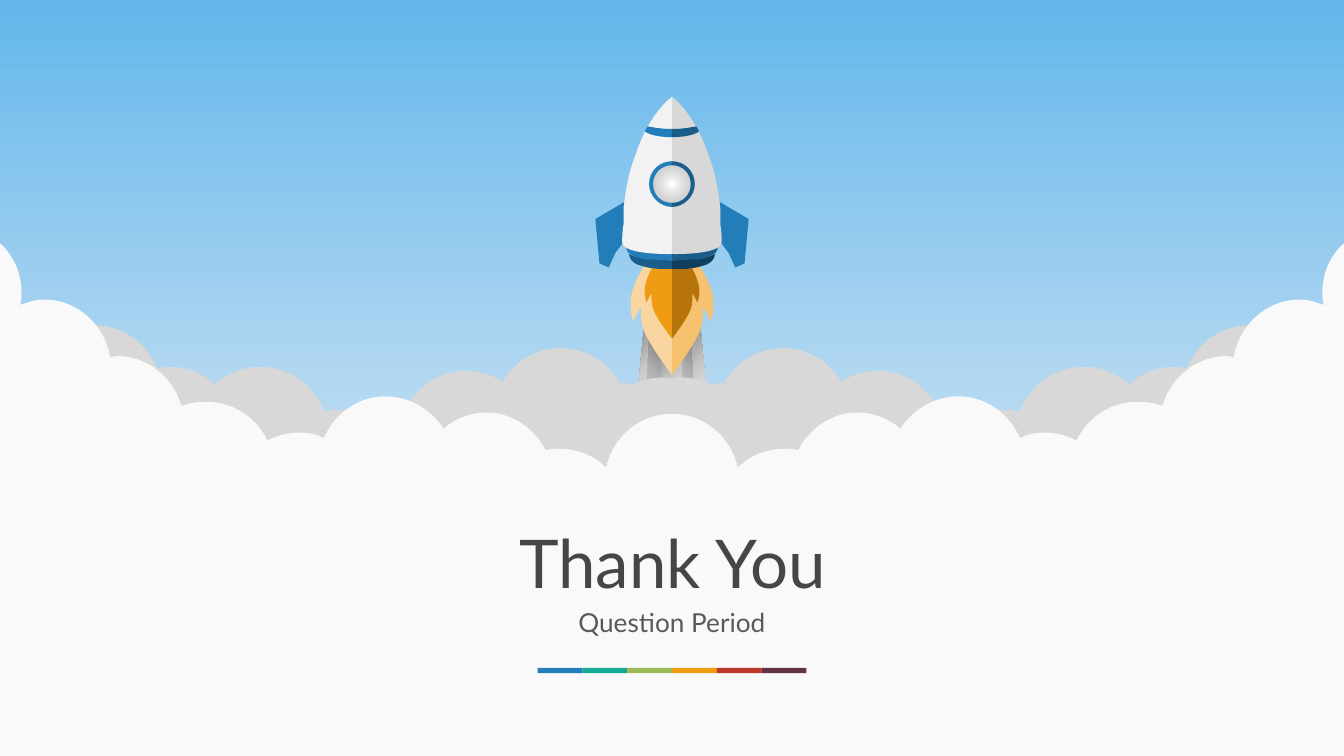
from collections import namedtuple
from dataclasses import dataclass

from lxml.etree import SubElement
from pptx import Presentation
from pptx.dml.color import RGBColor
from pptx.enum.shapes import MSO_SHAPE
from pptx.enum.text import MSO_ANCHOR, PP_ALIGN
from pptx.oxml.ns import qn
from pptx.util import Inches, Pt

Box = namedtuple("Box", "x y w h")


@dataclass(frozen=True)
class Theme:
    """Colours, font and type sizes of the slide."""
    font: str = "Lato"
    title_pt: int = 36
    subtitle_pt: int = 14
    title: str = "464646"
    subtitle: str = "595959"
    paper: str = "F9F9F9"
    cloud: str = "D8D8D8"
    sky: tuple = ("63B7EB", "B1D7F1", "FFFFFF")
    smoke_light: tuple = ("8C8C8C", "CACACA", "F2F2F2")
    smoke_dark: tuple = ("7C7C7C", "B4B4B4", "D8D8D8")
    glass: tuple = ("FFFFFF", "D8D8D8", "BFBFBF")
    fin: tuple = ("237DB9", "237DB9")
    trim: tuple = ("237DB9", "1A5D8A")
    base: tuple = ("1A5D8A", "113E5C")
    hull: tuple = ("F2F2F2", "D8D8D8")
    outer_flame: tuple = ("F9D69F", "F6C270")
    inner_flame: tuple = ("F09B14", "B7740B")
    bars: tuple = ("237DB9", "14AA96", "9BB955", "F09B14", "BE392B", "643246")


T = Theme()

FIN = [(57, 91), (35, 78), (36, 108), (36, 108, 39, 112, 42, 116),
       (44, 120, 47, 127, 47, 127), (54, 124)]
SKIRT = [(25, 120), (15, 123, 0, 122, 0, 122), (0, 117), (0, 117, 12, 116, 20, 115),
         (28, 114, 34, 112, 34, 112), (34, 112, 35, 117, 25, 120)]
OUTER_FLAME = [(29, 167), (23, 156), (23, 156, 24, 164, 21, 174), (16, 186, 0, 207, 0, 207),
               (0, 123), (19, 123), (19, 123, 26, 134, 29, 143), (33, 155, 29, 167, 29, 167)]
INNER_FLAME = [(19, 153), (15, 146), (15, 146, 16, 151, 14, 158), (11, 166, 0, 180, 0, 180),
               (0, 123), (12, 123), (12, 123, 17, 130, 19, 137), (22, 145, 19, 153, 19, 153)]
BASE = [(22, 126), (13, 129, 0, 128, 0, 128), (0, 122), (0, 122, 12, 121, 19, 121),
        (27, 120, 32, 117, 32, 117), (32, 117, 32, 124, 22, 126)]
HULL = [(36, 83), (36, 85, 36, 90, 36, 95), (37, 100, 37, 105, 37, 108),
        (37, 118, 0, 117, 0, 117), (0, 0), (0, 0, 17, 12, 27, 43), (33, 58, 35, 74, 36, 83)]
NOSE_BAND = [(0, 24), (0, 30), (8, 30, 15, 29, 20, 26), (20, 25, 19, 23, 18, 22),
             (13, 23, 7, 24, 0, 24)]
RING = [(0, 48), (0, 51), (8, 51, 14, 57, 14, 65), (14, 73, 8, 79, 0, 79), (0, 82),
        (9, 82, 17, 74, 17, 65), (17, 55, 9, 48, 0, 48)]
SMOKE = [
    ([(-27, 235), (-21, 173), (-16, 173), (-20, 235)], T.smoke_light, 45),
    ([(21, 169), (27, 235), (17, 235), (14, 172), (17, 169)], T.smoke_light, 45),
    ([(8, 235), (7, 179), (14, 179), (17, 235)], T.smoke_dark, (100, 0, 0, 100)),
    ([(7, 186), (8, 235), (-9, 235), (-8, 186)], T.smoke_light, 45),
    ([(-9, 235), (-8, 179), (-17, 179), (-20, 235)], T.smoke_dark, (100, 0, 0, 100)),
]
MIDDLE_CLOUD = [
    (0, 381), (7, 381), (11, 381, 14, 381, 18, 380),
    (24, 383, 32, 385, 40, 385), (59, 385, 75, 374, 84, 359), (93, 359, 102, 356, 110, 351),
    (118, 366, 134, 376, 153, 376), (180, 376, 203, 354, 203, 326),
    (203, 298, 180, 276, 153, 276), (143, 276, 134, 279, 126, 284),
    (117, 269, 101, 259, 83, 259), (64, 259, 47, 270, 39, 285), (35, 285, 32, 286, 29, 286),
    (23, 283, 15, 281, 7, 281), (5, 281, 2, 281, 0, 282)]
SIDE_CLOUD = [
    (249, 305), (253, 305, 256, 306, 259, 306), (266, 287, 285, 273, 307, 273),
    (319, 273, 331, 278, 340, 286), (349, 278, 360, 273, 373, 273),
    (377, 273, 380, 274, 383, 274), (391, 255, 409, 242, 430, 242),
    (458, 242, 480, 264, 480, 292), (480, 319, 458, 342, 430, 342),
    (427, 342, 423, 341, 420, 341), (413, 360, 395, 373, 373, 373),
    (360, 373, 348, 368, 340, 360), (331, 368, 319, 373, 307, 373),
    (303, 373, 300, 372, 296, 372), (290, 391, 271, 405, 249, 405),
    (222, 405, 199, 383, 199, 355), (199, 328, 222, 305, 249, 305)]
FRONT_CLOUD = [
    (0, 562.5), (500, 562.5), (500, 181), (490, 190, 484, 203, 484, 217),
    (484, 221, 484, 224, 485, 227), (479, 225, 474, 223, 467, 223),
    (442, 223, 422, 242, 418, 266), (416, 265, 415, 265, 413, 265),
    (390, 265, 371, 281, 365, 302), (359, 300, 353, 299, 347, 299),
    (326, 299, 309, 311, 301, 328), (294, 324, 286, 322, 277, 322),
    (271, 322, 265, 323, 259, 326), (251, 308, 234, 295, 213, 295),
    (195, 295, 179, 305, 170, 319), (162, 312, 150, 307, 138, 307),
    (119, 307, 102, 319, 94, 335), (90, 334, 87, 334, 84, 334),
    (70, 334, 58, 339, 49, 348), (44, 325, 24, 308, 0, 308)]


def points(outline):
    """List all corners and curve handles of an outline in order."""
    return [pt for seg in outline for pt in zip(seg[::2], seg[1::2])]


def mirror(outline):
    """Reflect an outline across the vertical axis, in reverse order."""
    pts = [(-x, y) for x, y in points(outline)]
    flipped = [pts.pop()]
    for seg in reversed(outline[1:]):
        flipped.append(sum((pts.pop() for _ in seg[::2]), ()))
    return flipped


def paint(sp, fill, direction=90):
    """Fill a shape with a colour, or with stops along an angle or around a focus."""
    sp.shadow.inherit = False
    sp.line.fill.background()
    if isinstance(fill, str):
        sp.fill.solid()
        sp.fill.fore_color.rgb = RGBColor.from_string(fill)
        return
    sp.fill.gradient()
    grad = sp._element.spPr.find(qn("a:gradFill"))
    for child in list(grad):
        grad.remove(child)
    stops = SubElement(grad, qn("a:gsLst"))
    for i, color in enumerate(fill):
        gs = SubElement(stops, qn("a:gs"), pos=str(50000 * i))
        SubElement(gs, qn("a:srgbClr"), val=color)
    if isinstance(direction, tuple):
        circle = SubElement(grad, qn("a:path"), path="circle")
        focus = {side: str(1000 * v) for side, v in zip("ltrb", direction)}
        SubElement(circle, qn("a:fillToRect"), **focus)
    else:
        SubElement(grad, qn("a:lin"), ang=str(60000 * direction), scaled="0")


def add_preset(shapes, kind, box, fill, direction=90):
    """Add a painted preset shape."""
    paint(shapes.add_shape(kind, *map(Inches, box)), fill, direction)


def bend(sp, outline):
    """Join the three line steps of each curve into one cubic curve."""
    steps = iter(list(sp._element.spPr.iter(qn("a:lnTo"))))
    for seg in outline[1:]:
        curve = next(steps)
        if len(seg) == 6:
            curve.tag = qn("a:cubicBezTo")
            for step in (next(steps), next(steps)):
                curve.append(step[0])
                step.getparent().remove(step)


def add_outline(shapes, box, unit, outline, fill, direction=90):
    """Add a closed outline whose columns are counted from the box's middle axis."""
    axis = box.x + box.w / 2
    pts = [(Inches(axis + x * unit), Inches(box.y + y * unit)) for x, y in points(outline)]
    fb = shapes.build_freeform(*pts[0])
    fb.add_line_segments(pts[1:], close=True)
    sp = fb.convert_to_shape()
    bend(sp, outline)
    paint(sp, fill, direction)


def add_halves(shapes, box, unit, outline, colors):
    """Add the left and right halves of a symmetric part."""
    for half, color in zip((mirror(outline), outline), colors):
        add_outline(shapes, box, unit, half, color)


def add_rocket(s, box):
    """Draw the rocket and its smoke on a grid of 235 rows."""
    shapes = s.shapes.add_group_shape().shapes
    unit = box.h / 235
    for outline, stops, direction in SMOKE:
        add_outline(shapes, box, unit, outline, stops, direction)
    for outline, colors in ((FIN, T.fin), (SKIRT, T.trim), (OUTER_FLAME, T.outer_flame),
                            (INNER_FLAME, T.inner_flame), (BASE, T.base), (HULL, T.hull)):
        add_halves(shapes, box, unit, outline, colors)
    window = Box(box.x + box.w / 2 - 15 * unit, box.y + 50 * unit, 30 * unit, 30 * unit)
    add_preset(shapes, MSO_SHAPE.OVAL, window, T.glass, (50, 50, 50, 50))
    for outline in (NOSE_BAND, RING):
        add_halves(shapes, box, unit, outline, T.trim)


def add_clouds(s, box):
    """Draw the back and front clouds on a grid of 1000 columns."""
    unit = box.w / 1000
    add_outline(s.shapes, box, unit, MIDDLE_CLOUD + mirror(MIDDLE_CLOUD), T.cloud)
    add_halves(s.shapes, box, unit, SIDE_CLOUD, (T.cloud, T.cloud))
    add_outline(s.shapes, box, unit, FRONT_CLOUD + mirror(FRONT_CLOUD), T.paper)


def add_text(s, box, text, size, color):
    """Add one centred line of text."""
    tf = s.shapes.add_textbox(*map(Inches, box)).text_frame
    tf.word_wrap = True
    tf.vertical_anchor = MSO_ANCHOR.MIDDLE
    tf.margin_left = tf.margin_right = tf.margin_top = tf.margin_bottom = 0
    p = tf.paragraphs[0]
    p.text, p.alignment = text, PP_ALIGN.CENTER
    p.font.name, p.font.size = T.font, Pt(size)
    p.font.color.rgb = RGBColor.from_string(color)


def add_bars(s, box):
    """Split the box into equal coloured bars."""
    shapes = s.shapes.add_group_shape().shapes
    w = box.w / len(T.bars)
    for i, color in enumerate(T.bars):
        add_preset(shapes, MSO_SHAPE.RECTANGLE, Box(box.x + i * w, box.y, w, box.h), color)


def add_closing(s, box):
    """Compose the closing slide inside the box."""
    s.background.fill.solid()
    s.background.fill.fore_color.rgb = RGBColor.from_string(T.paper)
    add_preset(s.shapes, MSO_SHAPE.RECTANGLE, box, T.sky)
    add_rocket(s, Box(4.43, 0.72, 1.14, 2.35))
    add_clouds(s, box)
    add_text(s, Box(1.94, 4.08, 6.13, 0.19), "Thank You", T.title_pt, T.title)
    add_text(s, Box(0.65, 4.5, 8.7, 0.25), "Question Period", T.subtitle_pt, T.subtitle)
    add_bars(s, Box(4, 4.97, 2, 0.04))


prs = Presentation()
page = Box(0, 0, 10, 5.625)
prs.slide_width, prs.slide_height = Inches(page.w), Inches(page.h)
add_closing(prs.slides.add_slide(prs.slide_layouts[6]), page)
prs.save("out.pptx")
